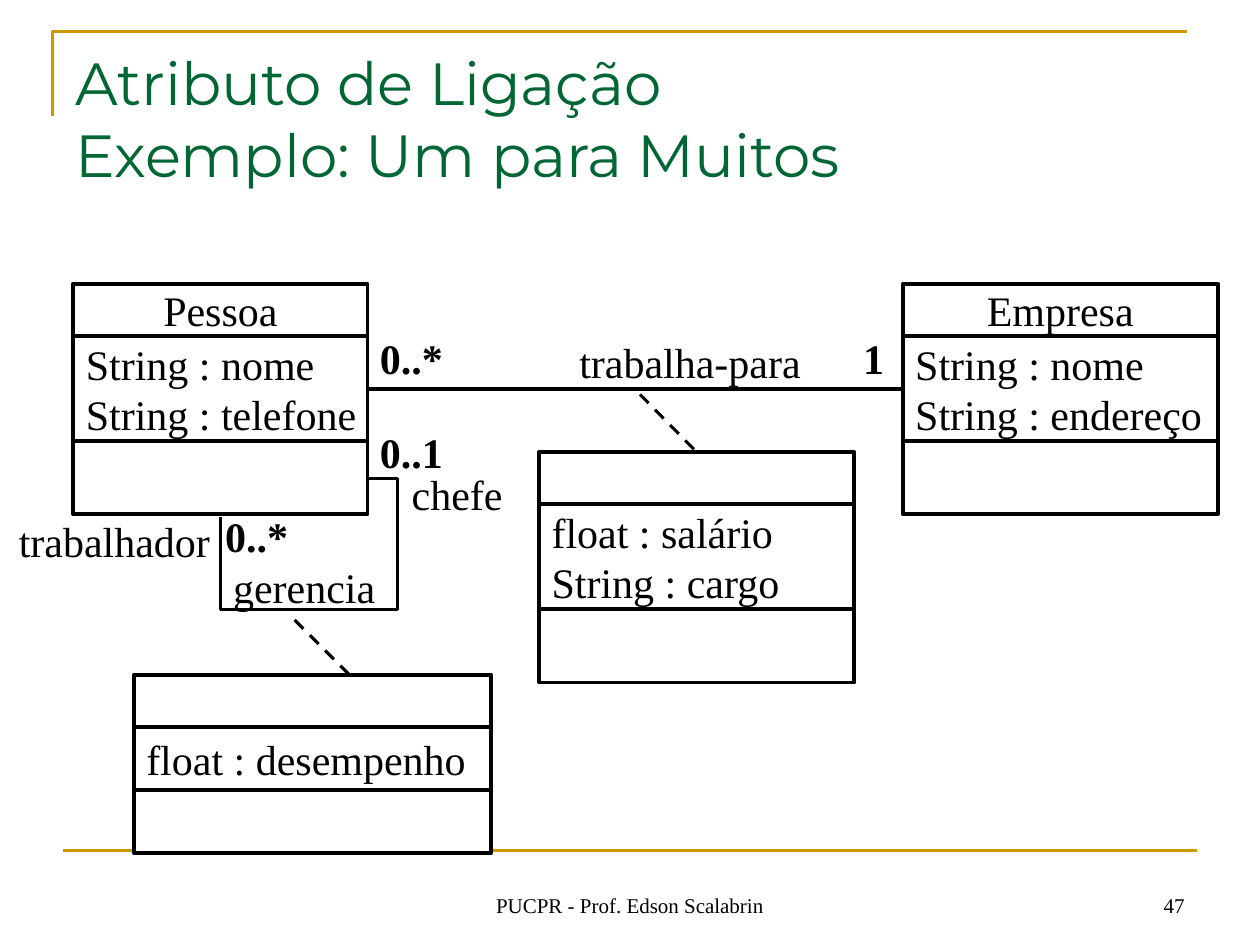
from lxml.etree import SubElement
from pptx import Presentation
from pptx.dml.color import RGBColor
from pptx.enum.dml import MSO_LINE
from pptx.enum.shapes import MSO_CONNECTOR as LINK, MSO_SHAPE
from pptx.enum.text import MSO_ANCHOR as ANCHOR, MSO_AUTO_SIZE as FIT, PP_ALIGN as ALIGN
from pptx.oxml.ns import qn
from pptx.util import Cm, Pt

COLORS = {"ink": "000000", "paper": "FFFFFF", "rule": "CC9900", "title": "006633"}


def write_text(frame, lines, align=ALIGN.LEFT, size=24, bold=False,
               font="Times New Roman", color="ink", **frame_format):
    for name, value in frame_format.items():
        setattr(frame, name, value)
    frame.text = "\n".join(lines)
    for para in frame.paragraphs:
        para.alignment = align
        for name, value in {"size": Pt(size), "bold": bold, "name": font}.items():
            setattr(para.font, name, value)
        para.font.color.rgb = RGBColor.from_string(COLORS[color])


def draw_line(start, end, width, kind=LINK.STRAIGHT, color="ink", dash=None):
    line = page.shapes.add_connector(kind, *map(Cm, start + end))
    line.line.color.rgb = RGBColor.from_string(COLORS[color])
    line.line.width = Pt(width)
    line.line.dash_style = dash
    SubElement(line._element.spPr, qn("a:effectLst"))
    return line


deck = Presentation()
deck.slide_width, deck.slide_height = Cm(25.4), Cm(19.05)
page = deck.slides.add_slide(deck.slide_layouts[5])

# Frame rules
builder = page.shapes.build_freeform(Cm(1.06), Cm(2.33))
builder.add_line_segments([(Cm(1.06), Cm(0.63)), (Cm(23.92), Cm(0.63))], close=False)
corner = builder.convert_to_shape()
corner.shadow.inherit = False
corner.fill.background()
corner.line.color.rgb = RGBColor.from_string(COLORS["rule"])
corner.line.width = Pt(1.5)
draw_line((1.27, 17.15), (24.13, 17.15), 1.5, color="rule")

# Title
title = page.shapes.title
title.left, title.top, title.width, title.height = Cm(1.27), Cm(0.76), Cm(22.86), Cm(3.18)
write_text(title.text_frame, ["Atributo de Ligação \vExemplo: Um para Muitos"], size=34,
           font="Montserrat", color="title", vertical_anchor=ANCHOR.BOTTOM,
           auto_size=FIT.NONE, word_wrap=True)

# Footer and page number
for left, width, text, align in [
    (8.68, 8.04, "PUCPR - Prof. Edson Scalabrin", ALIGN.CENTER),
    (18.2, 5.93, "47", ALIGN.RIGHT),
]:
    box = page.shapes.add_textbox(Cm(left), Cm(17.36), Cm(width), Cm(1.27))
    write_text(box.text_frame, [text], align, 12, word_wrap=True,
               vertical_anchor=ANCHOR.BOTTOM)

# Associations
draw_line((7.43, 7.84), (18.17, 7.84), 2.25)
loop = draw_line((7.43, 9.64), (4.45, 10.42), 1.75, LINK.ELBOW)
geometry = loop._element.spPr.find(qn("a:prstGeom"))
geometry.set("prst", "bentConnector4")
guides = geometry.find(qn("a:avLst"))
for name, value in [("adj1", -19800), ("adj2", 340600)]:
    SubElement(guides, qn("a:gd"), name=name, fmla=f"val {value}")

# Classes: name, attributes and operations stacked from the top
TALL, SHORT = (1.06, 2.11, 1.48), (1.06, 1.27, 1.27)
for left, top, width, heights, name, attributes in [
    (1.48, 5.72, 5.93, TALL, "Pessoa", ["String : nome", "String : telefone"]),
    (18.2, 5.72, 6.35, TALL, "Empresa", ["String : nome", "String : endereço"]),
    (10.87, 9.11, 6.35, TALL, "", ["float : salário", "String : cargo"]),
    (2.7, 13.6, 7.2, SHORT, "", ["float : desempenho"]),
]:
    parts = [([name], ALIGN.CENTER), (attributes, ALIGN.LEFT), ([""], ALIGN.LEFT)]
    for height, (lines, align) in zip(heights, parts):
        box = page.shapes.add_shape(MSO_SHAPE.RECTANGLE, Cm(left), Cm(top),
                                    Cm(width), Cm(height))
        box.shadow.inherit = False
        box.fill.solid()
        box.fill.fore_color.rgb = RGBColor.from_string(COLORS["paper"])
        box.line.color.rgb = RGBColor.from_string(COLORS["ink"])
        box.line.width = Pt(2.25)
        write_text(box.text_frame, lines, align, word_wrap=False,
                   vertical_anchor=ANCHOR.MIDDLE)
        top += height

# Association names, roles and multiplicities
for left, top, width, text, bold in [
    (11.43, 6.65, 4.98, "trabalha-para", False),
    (8.05, 9.32, 2.34, "chefe", False),
    (0.13, 10.26, 4.37, "trabalhador", False),
    (4.45, 11.2, 3.38, "gerencia", False),
    (7.41, 6.58, 1.78, "0..*", True),
    (17.15, 6.58, 0.91, "1", True),
    (4.29, 10.16, 1.78, "0..*", True),
    (7.41, 8.48, 1.78, "0..1", True),
]:
    box = page.shapes.add_textbox(Cm(left), Cm(top), Cm(width), Cm(1.27))
    write_text(box.text_frame, [text], bold=bold, word_wrap=False,
               auto_size=FIT.SHAPE_TO_FIT_TEXT)

# Dashed links to the association classes
for start, end in [((12.9, 7.95), (14.05, 9.12)), ((5.94, 12.5), (7.11, 13.67))]:
    draw_line(start, end, 1.75, dash=MSO_LINE.DASH)

deck.save("out.pptx")
